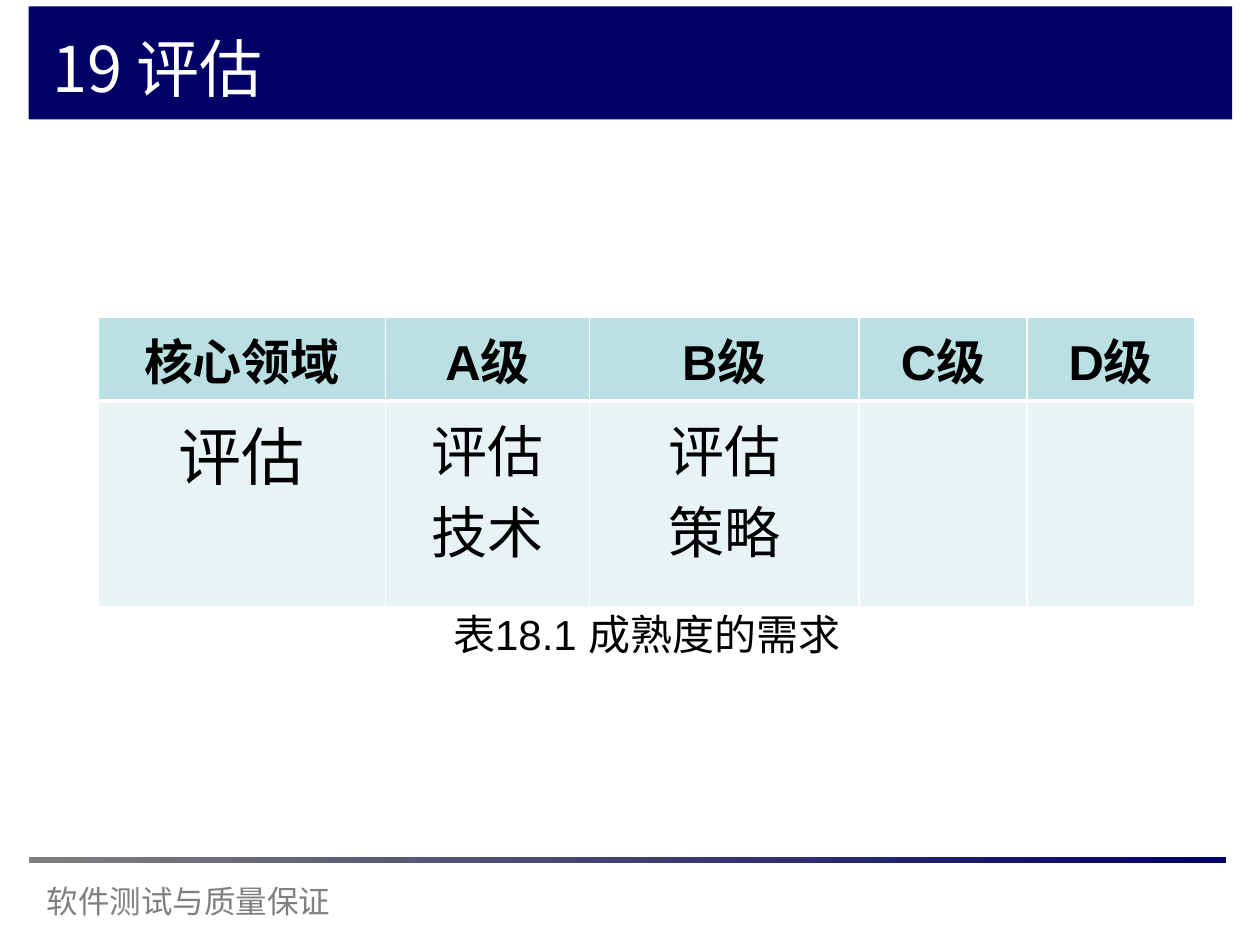
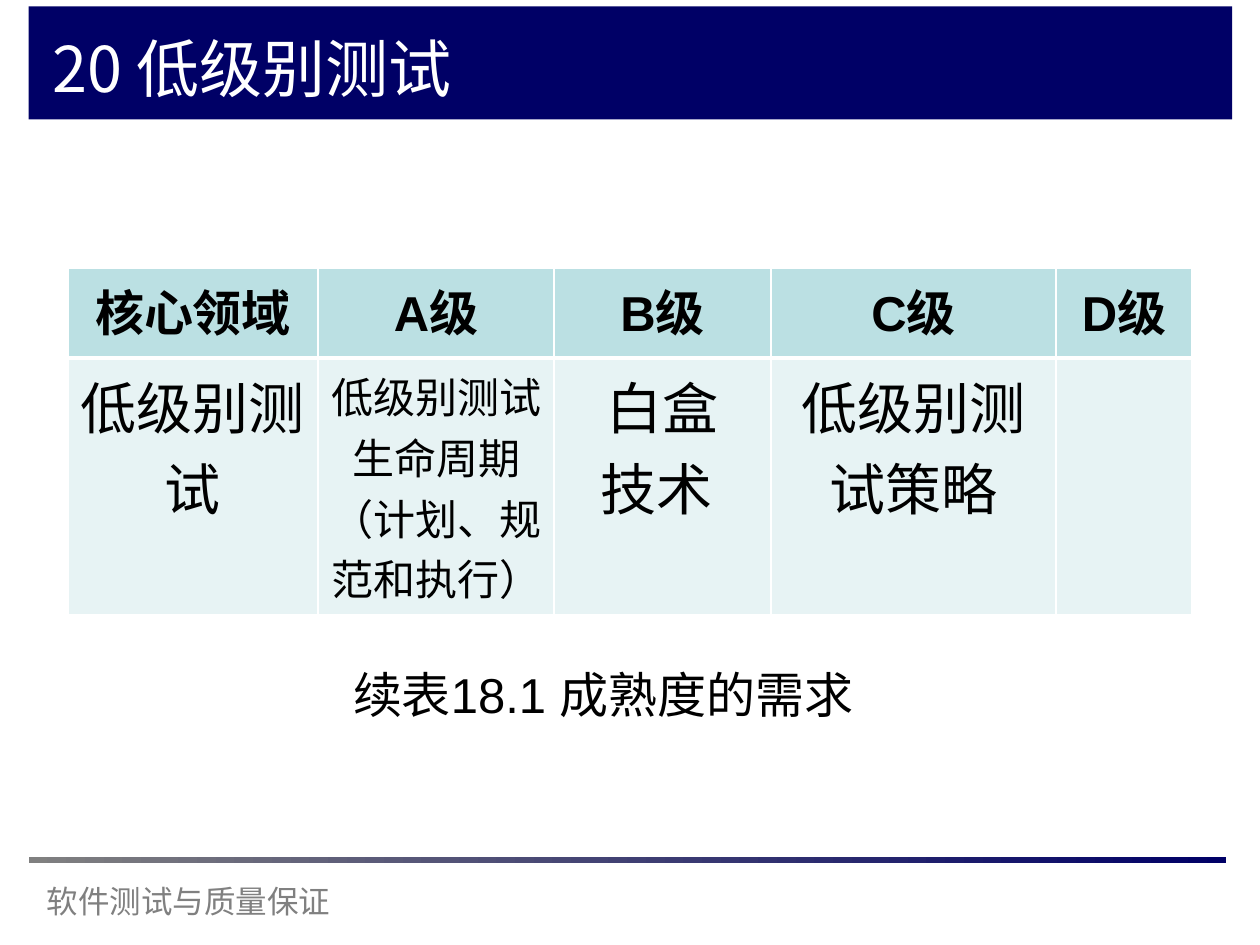
"""Build two slides on assessment and low-level testing maturity."""
from lxml.etree import SubElement
from pptx import Presentation
from pptx.dml.color import RGBColor
from pptx.enum.shapes import MSO_SHAPE
from pptx.enum.text import MSO_ANCHOR, MSO_AUTO_SIZE, PP_ALIGN
from pptx.oxml.ns import qn
from pptx.util import Cm, Pt

COLORS = {"navy": "000066", "gray": "808080", "white": "FFFFFF",
          "black": "000000", "header": "BBE0E3", "body": "E7F3F4"}
CHINESE_FONT = "Noto Sans CJK SC"
HEADINGS = ["核心领域", "A级", "B级", "C级", "D级"]
SLIDES = [
    {"title": "19 评估",
     "table": (1.98, 6.4), "columns": [5.79, 4.11, 5.44, 3.38, 3.38],
     "rows": [1.68, 4.14],
     "cells": [(["评估"], 36), (["评估", "技术"], 32),
               (["评估", "策略"], 32), ([], 32), ([], 32)],
     "caption": ("表18.1 成熟度的需求", 24, 5.33, 12.14, 1.27)},
    {"title": "20 低级别测试",
     "table": (1.37, 5.41), "columns": [5.04, 4.76, 4.37, 5.75, 2.74],
     "rows": [1.81, 5.16],
     "cells": [(["低级别测试"], 32),
               (["低级别测试生命周期（计划、规范和执行）"], 24),
               (["白盒", "技术 "], 32), (["低级别测试策略"], 32), ([], 32)],
     "caption": ("续表18.1 成熟度的需求", 28, 4.45, 13.28, 1.45)},
]


def write(frame, lines, size, color="black", font="Arial", bold=False,
          align=PP_ALIGN.CENTER):
    """Write one paragraph per line into a text frame."""
    frame.word_wrap = True
    for index, line in enumerate(lines):
        paragraph = frame.add_paragraph() if index else frame.paragraphs[0]
        paragraph.alignment = align
        run = paragraph.add_run()
        run.text = line
        run.font.size = Pt(size)
        run.font.bold = bold
        run.font.name = font
        run.font.color.rgb = RGBColor.from_string(COLORS[color])
        east_asian = SubElement(run.font._element, qn("a:ea"))
        east_asian.set("typeface", CHINESE_FONT)


def add_border(cell, side, width):
    """Give one side of a table cell a white border."""
    properties = cell._tc.get_or_add_tcPr()
    line = SubElement(properties, qn(f"a:ln{side}"), w=str(Pt(width)))
    fill = SubElement(line, qn("a:solidFill"))
    SubElement(fill, qn("a:srgbClr"), val=COLORS["white"])


presentation = Presentation()
presentation.slide_width = Cm(25.4)
presentation.slide_height = Cm(19.05)
layout = presentation.slide_layouts[5]
slides = [presentation.slides.add_slide(layout) for content in SLIDES]

shapes = slides[0].shapes
band = shapes.add_shape(MSO_SHAPE.RECTANGLE, Cm(0.58), Cm(0.13), Cm(24.26), Cm(2.28))
band.fill.solid()
band.fill.fore_color.rgb = RGBColor.from_string(COLORS["navy"])
rule = shapes.add_shape(MSO_SHAPE.RECTANGLE, Cm(0.58), Cm(17.27), Cm(24.13), Cm(0.13))
rule.fill.gradient()
rule.fill.gradient_angle = 0
for stop, color in zip(rule.fill.gradient_stops, ("gray", "navy")):
    stop.color.rgb = RGBColor.from_string(COLORS[color])
for shape in (band, rule):
    shape.shadow.inherit = False
    shape.line.fill.background()
footer = shapes.add_textbox(Cm(0.69), Cm(17.65), Cm(13.13), Cm(1.02))
write(footer.text_frame, ["软件测试与质量保证"], 18, "gray", align=PP_ALIGN.LEFT)
for shape in (band, rule, footer):
    layout.shapes.element.append(shape.element)

for slide, content in zip(slides, SLIDES):
    title = slide.shapes.title
    title.left, title.top, title.width, title.height = Cm(0.81), Cm(0.41), Cm(21), Cm(1.88)
    title.text_frame.auto_size = MSO_AUTO_SIZE.NONE
    title.text_frame.vertical_anchor = MSO_ANCHOR.MIDDLE
    write(title.text_frame, [content["title"]], 36, "white", CHINESE_FONT,
          align=PP_ALIGN.LEFT)

    left, top = content["table"]
    table = slide.shapes.add_table(
        2, len(HEADINGS), Cm(left), Cm(top),
        Cm(sum(content["columns"])), Cm(sum(content["rows"]))).table
    table.first_row = False
    table.horz_banding = False
    for column, width in zip(table.columns, content["columns"]):
        column.width = Cm(width)
    for row, height in zip(table.rows, content["rows"]):
        row.height = Cm(height)
    header = [([heading], 28) for heading in HEADINGS]
    for row_index, row_cells in enumerate((header, content["cells"])):
        is_header = row_index == 0
        for column_index, (lines, size) in enumerate(row_cells):
            cell = table.cell(row_index, column_index)
            inner_side = "B" if is_header else "T"
            for side in "LRTB":
                add_border(cell, side, 3 if side == inner_side else 1)
            cell.fill.solid()
            cell.fill.fore_color.rgb = RGBColor.from_string(
                COLORS["header" if is_header else "body"])
            write(cell.text_frame, lines, size, bold=is_header)

    text, size, left, top, height = content["caption"]
    caption = slide.shapes.add_textbox(Cm(left), Cm(top), Cm(15.42), Cm(height))
    write(caption.text_frame, [text], size)

presentation.save("out.pptx")
